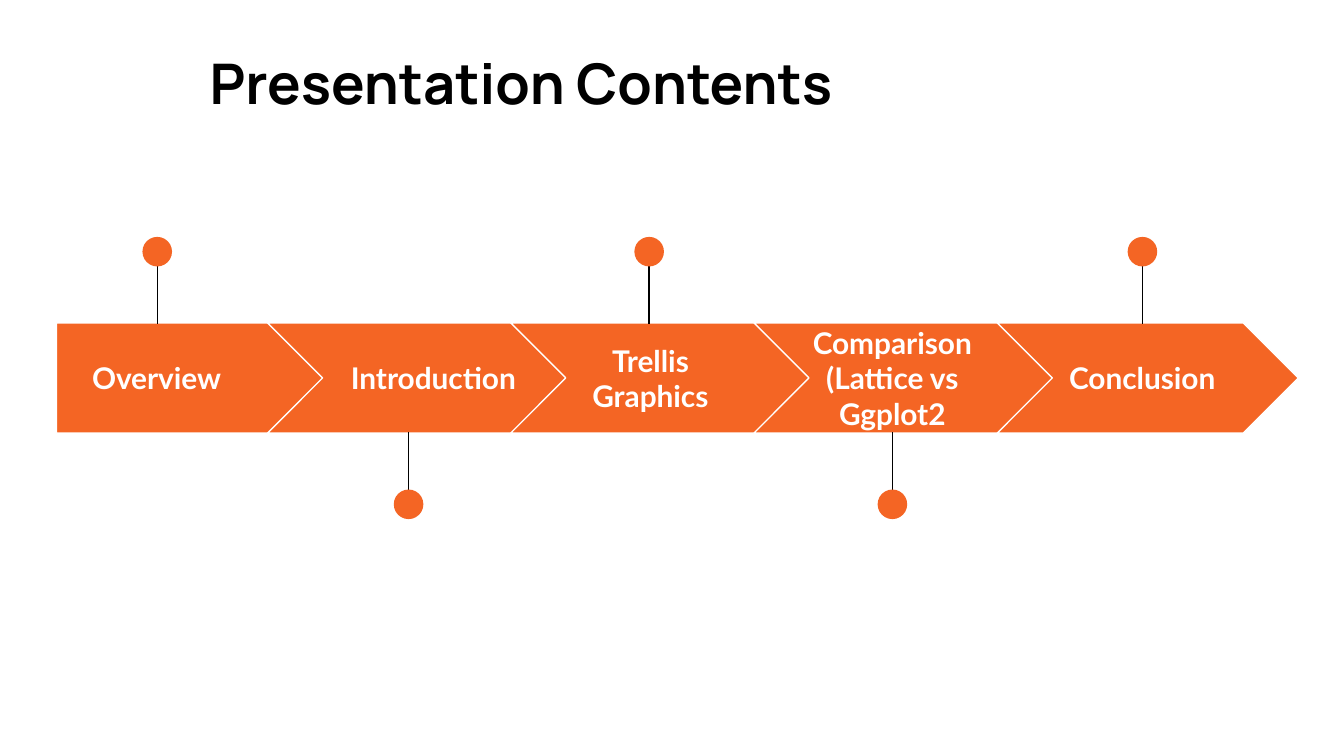
from dataclasses import dataclass

from lxml import etree
from pptx import Presentation
from pptx.dml.color import RGBColor
from pptx.enum.shapes import MSO_CONNECTOR, MSO_SHAPE
from pptx.enum.text import MSO_ANCHOR, MSO_AUTO_SIZE, PP_ALIGN
from pptx.oxml.ns import qn
from pptx.slide import Slide
from pptx.text.text import TextFrame
from pptx.util import Inches, Pt

PENTAGON = MSO_SHAPE.PENTAGON
CHEVRON = MSO_SHAPE.CHEVRON
OVAL = MSO_SHAPE.OVAL
STRAIGHT = MSO_CONNECTOR.STRAIGHT
LEFT, CENTER = PP_ALIGN.LEFT, PP_ALIGN.CENTER
TOP, MIDDLE = MSO_ANCHOR.TOP, MSO_ANCHOR.MIDDLE
NO_AUTOFIT = MSO_AUTO_SIZE.NONE


@dataclass(frozen=True)
class Theme:
    accent: RGBColor = RGBColor(0xF4, 0x65, 0x24)
    light: RGBColor = RGBColor(0xFF, 0xFF, 0xFF)
    dark: RGBColor = RGBColor(0x00, 0x00, 0x00)
    title_font: str = "Manrope"
    label_font: str = "Lato"
    title_size: float = 30
    label_size: float = 16
    line_width: float = 0.75


@dataclass(frozen=True)
class Step:
    label: str
    label_left: float
    label_width: float
    pin_center: float
    arrow_width: float = 2.24


THEME = Theme()
PAGE_WIDTH = 10
PAGE_HEIGHT = PAGE_WIDTH * 9 / 16
AXIS = PAGE_HEIGHT / 2
FIRST_LEFT, FIRST_CHEVRON_LEFT, ARROW_PITCH = 0.42, 1.99, 1.81
ARROW_HEIGHT, LABEL_HEIGHT = 0.82, 0.51
STEM_NEAR, STEM_FAR = 0.4, 1.01
DOT_SIZE, DOT_OFFSET = 0.22, 0.94
INSET = 0.1

STEPS = (
    Step("Overview", 0.37, 1.59, 1.17, arrow_width=2.05),
    Step("Introduction", 2.33, 1.79, 3.04, arrow_width=2.82),
    Step("Trellis Graphics", 4.12, 1.44, 4.83),
    Step("Comparison (Lattice vs Ggplot2", 5.92, 1.44, 6.64),
    Step("Conclusion", 7.78, 1.44, 8.5),
)


def write_text(frame: TextFrame, text: str, *, font: str, size: float,
               color: RGBColor, align: PP_ALIGN, anchor: MSO_ANCHOR) -> None:
    frame.auto_size = NO_AUTOFIT
    frame.word_wrap = True
    frame.vertical_anchor = anchor
    frame.margin_left = frame.margin_right = Inches(INSET)
    frame.margin_top = frame.margin_bottom = Inches(INSET)
    para = frame.paragraphs[0]
    para.alignment = align
    span = para.add_run()
    span.text = text
    span.font.name = font
    span.font.size = Pt(size)
    span.font.bold = True
    span.font.color.rgb = color


def draw_title(page: Slide, text: str) -> None:
    title = page.shapes.title
    title.left, title.top = Inches(1.46), Inches(0.26)
    title.width, title.height = Inches(6.92), Inches(0.92)
    write_text(title.text_frame, text, font=THEME.title_font, size=THEME.title_size,
               color=THEME.dark, align=LEFT, anchor=TOP)


def draw_arrow(page: Slide, step: Step, index: int) -> None:
    kind = CHEVRON if index else PENTAGON
    left = FIRST_CHEVRON_LEFT + (index - 1) * ARROW_PITCH if index else FIRST_LEFT
    arrow = page.shapes.add_shape(kind, Inches(left), Inches(AXIS - ARROW_HEIGHT / 2),
                                  Inches(step.arrow_width), Inches(ARROW_HEIGHT))
    arrow.shadow.inherit = False
    arrow.adjustments[0] = 0.5
    arrow.fill.solid()
    arrow.fill.fore_color.rgb = THEME.accent
    arrow.line.color.rgb = THEME.light
    arrow.line.width = Pt(THEME.line_width)


def draw_label(page: Slide, step: Step) -> None:
    box = page.shapes.add_textbox(Inches(step.label_left), Inches(AXIS - LABEL_HEIGHT / 2),
                                  Inches(step.label_width), Inches(LABEL_HEIGHT))
    write_text(box.text_frame, step.label, font=THEME.label_font, size=THEME.label_size,
               color=THEME.light, align=CENTER, anchor=MIDDLE)


def draw_pin(page: Slide, center: float, direction: int) -> None:
    stem = page.shapes.add_connector(
        STRAIGHT, Inches(center), Inches(AXIS + direction * STEM_FAR),
        Inches(center), Inches(AXIS + direction * STEM_NEAR))
    stem.line.color.rgb = THEME.dark
    stem.line.width = Pt(THEME.line_width)
    etree.SubElement(stem.element.spPr, qn("a:effectLst"))
    dot_top = AXIS + direction * DOT_OFFSET - DOT_SIZE / 2
    dot = page.shapes.add_shape(OVAL, Inches(center - DOT_SIZE / 2), Inches(dot_top),
                                Inches(DOT_SIZE), Inches(DOT_SIZE))
    dot.shadow.inherit = False
    dot.fill.solid()
    dot.fill.fore_color.rgb = THEME.accent
    dot.line.fill.background()


def main() -> None:
    deck = Presentation()
    deck.slide_width, deck.slide_height = Inches(PAGE_WIDTH), Inches(PAGE_HEIGHT)
    page = deck.slides.add_slide(deck.slide_layouts.get_by_name("Title Only"))
    draw_title(page, "Presentation Contents")
    for index, step in enumerate(STEPS):
        draw_arrow(page, step, index)
        draw_label(page, step)
        draw_pin(page, step.pin_center, 1 if index % 2 else -1)
    deck.save("out.pptx")


if __name__ == "__main__":
    main()
